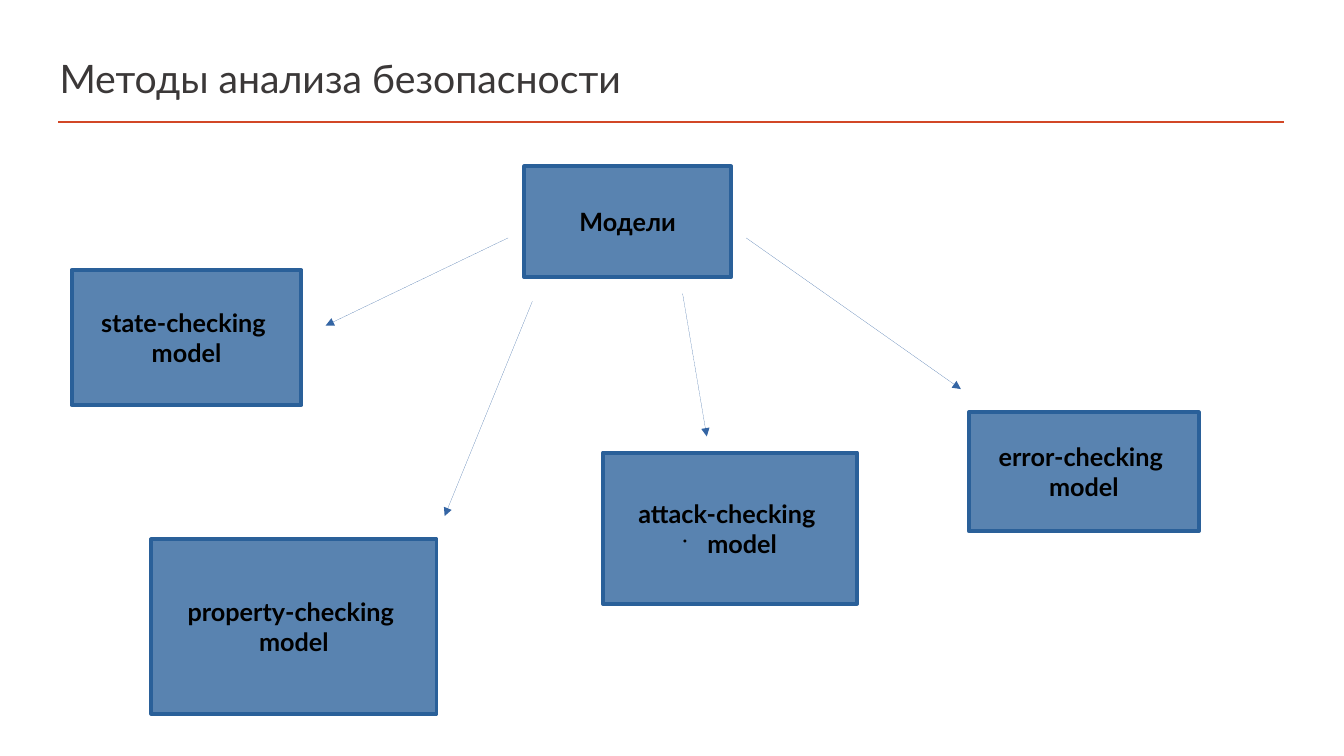
from dataclasses import dataclass

from lxml import etree
from pptx import Presentation
from pptx import util as u
from pptx.dml.color import RGBColor
from pptx.enum import shapes, text
from pptx.oxml import ns
from pptx.shapes.autoshape import Shape
from pptx.shapes.connector import Connector
from pptx.slide import Slide
from pptx.text.text import TextFrame

FONT = "Lato"


@dataclass
class Model:
    label: str
    left: float
    top: float
    width: float
    height: float
    bulleted: bool = False


@dataclass
class Arrow:
    start: tuple[float, float]
    end: tuple[float, float]


MODELS = [
    Model("Модели", 5.2, 1.65, 2.05, 1.1),
    Model("state-checking \nmodel", 0.71, 2.68, 2.28, 1.34),
    Model("property-checking \nmodel", 1.5, 5.35, 2.83, 1.73),
    Model("attack-checking \nmodel", 5.98, 4.49, 2.52, 1.5, bulleted=True),
    Model("error-checking \nmodel", 9.61, 4.09, 2.28, 1.18),
]

ARROWS = [
    Arrow((5.04, 2.36), (3.23, 3.23)),
    Arrow((5.28, 2.99), (4.41, 5.12)),
    Arrow((6.77, 2.91), (7.01, 4.33)),
    Arrow((7.4, 2.36), (9.53, 3.86)),
]


def color(hex_value: str) -> RGBColor:
    return RGBColor.from_string(hex_value)


def format_text(frame: TextFrame, size: int, hex_value: str, bold: bool,
                align: text.PP_ALIGN) -> None:
    frame.vertical_anchor = text.MSO_ANCHOR.MIDDLE
    for paragraph in frame.paragraphs:
        paragraph.alignment = align
        for run in paragraph.runs:
            run.font.name = FONT
            run.font.size = u.Pt(size)
            run.font.bold = bold
            run.font.color.rgb = color(hex_value)


def add_bullet(frame: TextFrame) -> None:
    properties = frame.paragraphs[-1]._p.get_or_add_pPr()
    properties.set("marL", str(u.Inches(0.24)))
    properties.set("indent", str(u.Inches(-0.24)))
    bullet_color = etree.SubElement(properties, ns.qn("a:buClr"))
    etree.SubElement(bullet_color, ns.qn("a:srgbClr"), val="000000")
    etree.SubElement(properties, ns.qn("a:buSzPct"), val="45000")
    etree.SubElement(properties, ns.qn("a:buChar"), char="•")


def draw_title(slide: Slide, heading: str) -> None:
    title = slide.shapes.title
    title.left, title.top = u.Inches(0.49), u.Inches(0.47)
    title.width, title.height = u.Inches(12.26), u.Inches(0.61)
    title.text_frame.text = heading
    title.text_frame.auto_size = text.MSO_AUTO_SIZE.NONE
    format_text(title.text_frame, 28, "3B3838", False, text.PP_ALIGN.LEFT)


def draw_line(slide: Slide, start: tuple[float, float],
              end: tuple[float, float], hex_value: str) -> Connector:
    line = slide.shapes.add_connector(
        shapes.MSO_CONNECTOR.STRAIGHT, *map(u.Inches, start + end))
    line._element.remove(line._element.find(ns.qn("p:style")))
    line.line.color.rgb = color(hex_value)
    etree.SubElement(line._element.spPr, ns.qn("a:effectLst"))
    return line


def draw_arrow(slide: Slide, arrow: Arrow) -> None:
    line = draw_line(slide, arrow.start, arrow.end, "3465A4")
    etree.SubElement(line.line._get_or_add_ln(), ns.qn("a:tailEnd"), type="triangle")


def draw_model(slide: Slide, model: Model) -> Shape:
    box = slide.shapes.add_shape(
        shapes.MSO_SHAPE.RECTANGLE, u.Inches(model.left), u.Inches(model.top),
        u.Inches(model.width), u.Inches(model.height))
    box.shadow.inherit = False
    box.fill.solid()
    box.fill.fore_color.rgb = color("5983B0")
    box.line.color.rgb = color("2A6099")
    box.line.width = u.Pt(2.83)
    box.text_frame.text = model.label
    box.text_frame.word_wrap = False
    format_text(box.text_frame, 18, "000000", True, text.PP_ALIGN.CENTER)
    if model.bulleted:
        add_bullet(box.text_frame)
    return box


def main() -> None:
    deck = Presentation()
    deck.slide_width, deck.slide_height = u.Inches(13.33), u.Inches(7.5)
    slide = deck.slides.add_slide(deck.slide_layouts.get_by_name("Title Only"))
    draw_title(slide, "Методы анализа безопасности")
    title_rule = draw_line(slide, (0.58, 1.21), (12.74, 1.21), "D24726")
    title_rule.line.width = u.Pt(2)
    for model in MODELS:
        draw_model(slide, model)
    for arrow in ARROWS:
        draw_arrow(slide, arrow)
    deck.save("out.pptx")


if __name__ == "__main__":
    main()
